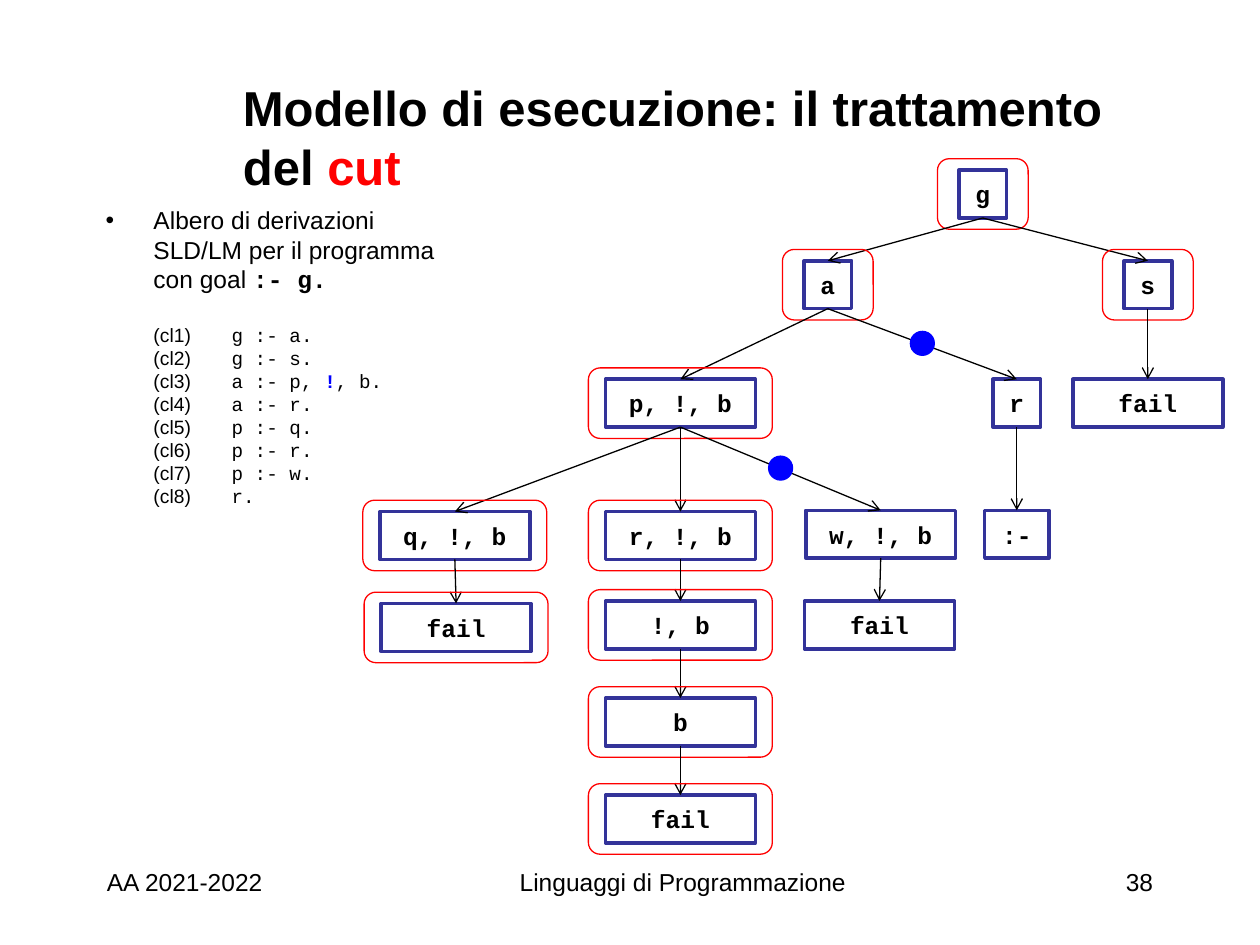
from copy import deepcopy
from pptx import Presentation
from pptx.dml.color import RGBColor
from pptx.enum.shapes import MSO_CONNECTOR as Link, MSO_SHAPE as Form
from pptx.enum.text import MSO_ANCHOR as Anchor, PP_ALIGN as Align
from pptx.oxml.ns import qn
from pptx.util import Inches, Pt
from lxml.etree import SubElement

BLACK = RGBColor(0, 0, 0)
WHITE = RGBColor(255, 255, 255)
RED = RGBColor(255, 0, 0)
BLUE = RGBColor(0, 0, 255)
NAVY = RGBColor(0x33, 0x33, 0x99)
SANS, MONO = "Arial", "Courier New"


class Board:
    def __init__(self, slide):
        self.slide = slide
        self.shapes = slide.shapes

    def style(self, run, size=14, face=SANS, color=BLACK, bold=False):
        font = run.font
        font.size, font.name, font.bold = Pt(size), face, bold
        font.color.rgb = color

    def text(self, left, top, width, height, parts, align=Align.LEFT, anchor=Anchor.TOP):
        box = self.shapes.add_textbox(*map(Inches, (left, top, width, height)))
        frame = box.text_frame
        frame.word_wrap = True
        frame.vertical_anchor = anchor
        para = frame.paragraphs[0]
        para.alignment = align
        for words, look in parts:
            lines = words.split("\n")
            for spot, line in enumerate(lines):
                if line:
                    run = para.add_run()
                    run.text = line
                    self.style(run, **look)
                if spot < len(lines) - 1:
                    para.add_line_break()
                    para._p[-1].append(deepcopy(run.font._element))
        return para

    def bullet(self, para, indent):
        para.space_before = Pt(2.8)
        props = para._p.get_or_add_pPr()
        props.set("marL", str(Inches(indent)))
        props.set("indent", str(-Inches(indent)))
        SubElement(props, qn("a:buFont")).set("typeface", SANS)
        SubElement(props, qn("a:buChar")).set("char", "•")

    def shape(self, form, mid, top, width, height, line, weight=0.75, fill=None):
        item = self.shapes.add_shape(
            form, *map(Inches, (mid - width / 2, top, width, height)))
        item.shadow.inherit = False
        if fill is None:
            item.fill.background()
        else:
            item.fill.solid()
            item.fill.fore_color.rgb = fill
        item.line.color.rgb = line
        item.line.width = Pt(weight)
        return item

    def node(self, words, mid, top, width):
        item = self.shape(Form.RECTANGLE, mid, top, width, 0.38, NAVY, 2, WHITE)
        frame = item.text_frame
        frame.text = words
        frame.word_wrap = False
        frame.vertical_anchor = Anchor.MIDDLE
        para = frame.paragraphs[0]
        para.alignment = Align.CENTER
        self.style(para.runs[0], face=MONO, bold=True)
        return item

    def arrow(self, start, end):
        link = self.shapes.add_connector(Link.STRAIGHT, 0, 0, 0, 0)
        link.begin_connect(start, 2)
        link.end_connect(end, 0)
        link.line.color.rgb = BLACK
        link.line.width = Pt(0.75)
        SubElement(link.line._get_or_add_ln(), qn("a:tailEnd")).set("type", "arrow")
        SubElement(link._element.spPr, qn("a:effectLst"))
        return link

    def dot(self, link):
        mid = (link.begin_x + link.end_x) / 2 / Inches(1)
        top = (link.begin_y + link.end_y) / 2 / Inches(1) - 0.1
        self.shape(Form.OVAL, mid, top, 0.19, 0.19, BLUE, fill=BLUE)

    def ring(self, mid, top, width):
        self.shape(Form.ROUNDED_RECTANGLE, mid, top - 0.09, width, 0.56, RED)


deck = Presentation()
deck.slide_width, deck.slide_height = Inches(10), Inches(7.5)
board = Board(deck.slides.add_slide(deck.slide_layouts[6]))

head = {"size": 28, "bold": True}
board.text(1.83, 0.67, 7.42, 0.83,
           [("Modello di esecuzione: il trattamento del ", head),
            ("cut", {**head, "color": RED})], anchor=Anchor.MIDDLE)

rules = ["g :- a.", "g :- s.", "a :- p, !, b.", "a :- r.",
         "p :- q.", "p :- r.", "p :- w.", "r."]
label, code = {"size": 11}, {"size": 11, "face": MONO}
parts = [("Albero di derivazioni SLD/LM per il programma con goal ", {}),
         (":- g.\n\n", {"face": MONO, "bold": True})]
for count, rule in enumerate(rules, 1):
    before, cut, after = rule.partition("!")
    end = "\n" if count < len(rules) else ""
    parts.append((f"(cl{count})\t", label))
    if cut:
        parts += [(before, code), (cut, {**code, "color": BLUE, "bold": True}),
                  (after + end, code)]
    else:
        parts.append((rule + end, code))
board.bullet(board.text(0.74, 1.58, 2.83, 2.76, parts), 0.38)

SMALL, WIDE = 0.38, 1.19
RINGS = {SMALL: 0.72, WIDE: 1.46}
tree = [
    ("g", "g", 7.8, 1.35, SMALL, None, True),
    ("a", "a", 6.57, 2.07, SMALL, "g", True),
    ("s", "s", 9.11, 2.07, SMALL, "g", True),
    ("p", "p, !, b", 5.4, 3.01, WIDE, "a", True),
    ("r", "r", 8.07, 3.01, SMALL, "a", False),
    ("s fail", "fail", 9.11, 3.01, WIDE, "s", False),
    ("q", "q, !, b", 3.61, 4.06, WIDE, "p", True),
    ("r cut", "r, !, b", 5.4, 4.06, WIDE, "p", True),
    ("w", "w, !, b", 6.99, 4.05, WIDE, "p", False),
    ("done", ":-", 8.07, 4.05, 0.51, "r", False),
    ("q fail", "fail", 3.62, 4.79, WIDE, "q", True),
    ("cut", "!, b", 5.4, 4.77, WIDE, "r cut", True),
    ("w fail", "fail", 6.98, 4.77, WIDE, "w", False),
    ("b", "b", 5.4, 5.54, WIDE, "cut", True),
    ("b fail", "fail", 5.4, 6.31, WIDE, "b", True),
]
nodes = {}
for name, words, mid, top, width, up, ringed in tree:
    nodes[name] = board.node(words, mid, top, width)
    if up:
        link = board.arrow(nodes[up], nodes[name])
        if name in ("r", "w"):
            board.dot(link)
    if ringed:
        board.ring(mid, top, RINGS[width])

for left, width, words, align in [
        (0.75, 2.5, "AA 2021-2022", Align.LEFT),
        (3.17, 4.5, "Linguaggi di Programmazione", Align.CENTER),
        (7.25, 2, "38", Align.RIGHT)]:
    board.text(left, 6.83, width, 0.5, [(words, {})], align)

deck.save("out.pptx")
